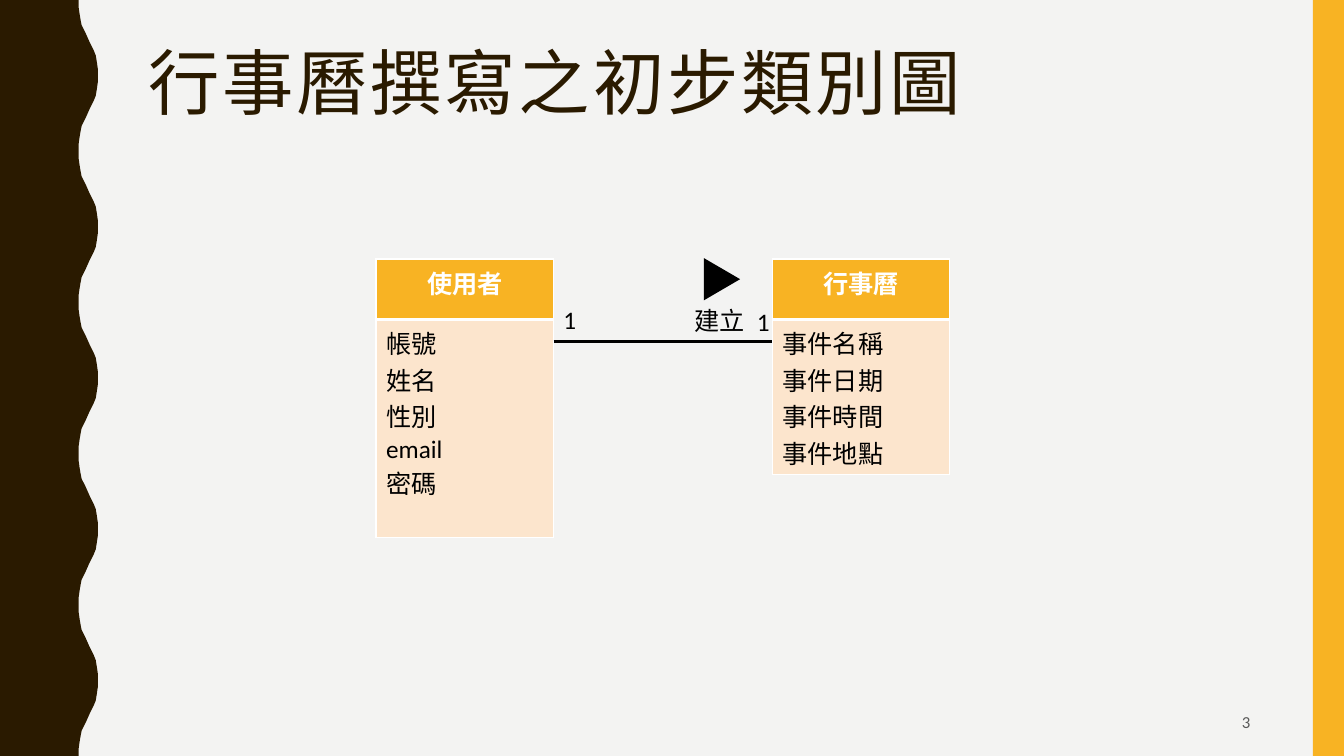
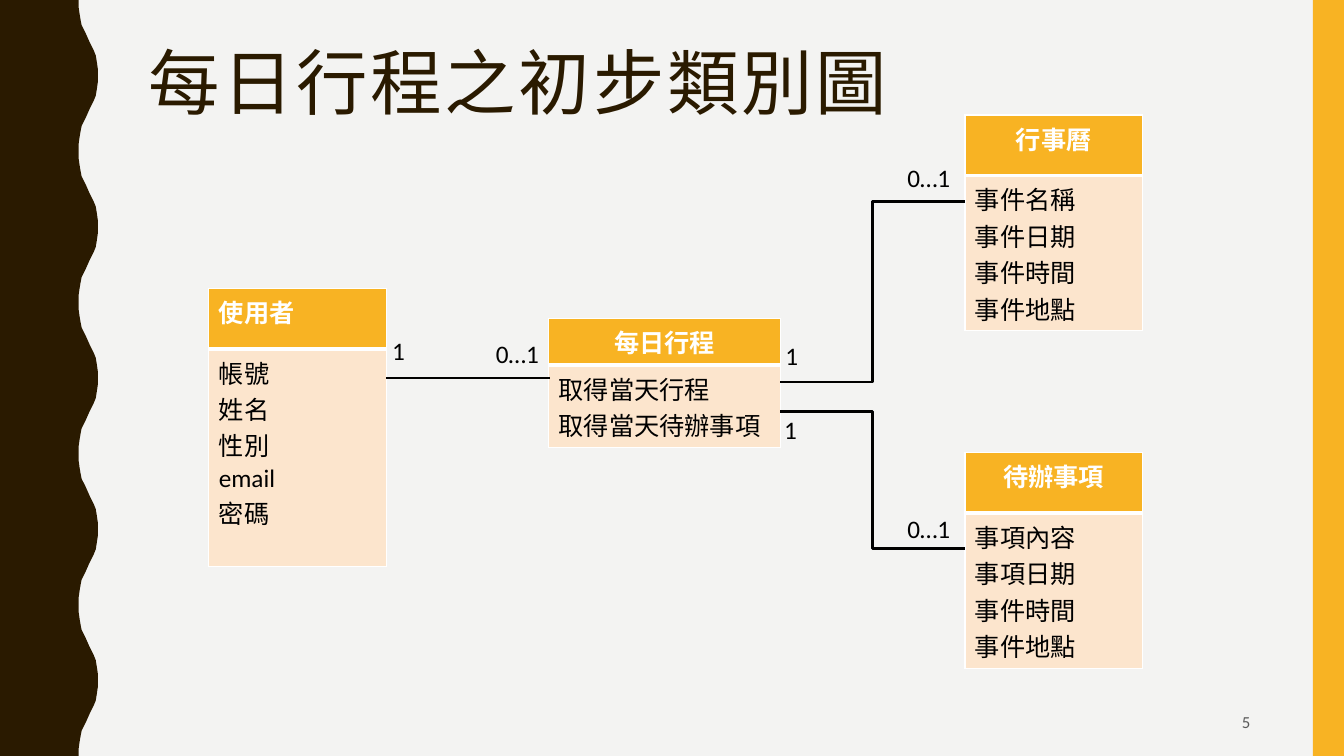
"""Build two slides of preliminary class diagrams for a calendar application."""

from lxml import etree
from pptx import Presentation
from pptx.dml.color import RGBColor
from pptx.enum.shapes import MSO_CONNECTOR, MSO_SHAPE
from pptx.enum.text import MSO_ANCHOR, MSO_AUTO_SIZE, PP_ALIGN
from pptx.oxml.ns import qn
from pptx.util import Inches, Pt

STRAIGHT, ELBOW = MSO_CONNECTOR.STRAIGHT, MSO_CONNECTOR.ELBOW
RECTANGLE, TRIANGLE = MSO_SHAPE.RECTANGLE, MSO_SHAPE.ISOSCELES_TRIANGLE
TOP, MIDDLE = MSO_ANCHOR.TOP, MSO_ANCHOR.MIDDLE
LEFT, CENTER, RIGHT = PP_ALIGN.LEFT, PP_ALIGN.CENTER, PP_ALIGN.RIGHT
NO_FIT, GROW = MSO_AUTO_SIZE.NONE, MSO_AUTO_SIZE.SHAPE_TO_FIT_TEXT

PAPER = RGBColor(0xF3, 0xF3, 0xF2)
BROWN = RGBColor(0x2A, 0x1A, 0x00)
AMBER = RGBColor(0xF8, 0xB3, 0x23)
PEACH = RGBColor(0xFC, 0xE5, 0xCD)
GREY = RGBColor(0x59, 0x59, 0x59)
WHITE = RGBColor(0xFF, 0xFF, 0xFF)
BLACK = RGBColor(0x00, 0x00, 0x00)

HEADING_FONT, BODY_FONT = "Roboto Condensed", "Calibri"
WAVE_PERIOD = 1.5
WAVE_RISE = [(0.78, 0), (0.78, 0.07), (0.79, 0.14), (0.8, 0.2), (0.81, 0.25),
             (0.83, 0.29), (0.85, 0.33), (0.89, 0.42), (0.91, 0.46), (0.93, 0.5),
             (0.95, 0.55), (0.96, 0.61), (0.97, 0.68), (0.97, 0.75)]

USER = ["帳號", "姓名", "性別", "email", "密碼"]
EVENT = ["事件名稱", "事件日期", "事件時間", "事件地點"]
TODO = ["事項內容", "事項日期", "事件時間", "事件地點"]
DAILY = ["取得當天行程", "取得當天待辦事項"]

DIAGRAMS = [
    {
        "title": "行事曆撰寫之初步類別圖",
        "number": "3",
        "classes": [
            ("行事曆", CENTER, EVENT, 7.66, 2.57, 1.76, 0.6, 1.54),
            ("使用者", CENTER, USER, 3.73, 2.57, 1.76, 0.6, 2.16),
        ],
        "links": [(STRAIGHT, 5.49, 3.39, 7.66, 3.39)],
        "labels": [("建立", 6.79, 2.98, 0.71), ("1", 5.49, 2.97, 0.33),
                   ("1", 7.41, 2.99, 0.33)],
        "arrows": [(6.95, 2.59, 0.42, 0.36)],
    },
    {
        "title": "每日行程之初步類別圖",
        "number": "5",
        "classes": [
            ("每日行程", CENTER, DAILY, 5.44, 3.16, 2.3, 0.46, 0.82),
            ("使用者", LEFT, USER, 2.07, 2.86, 1.76, 0.6, 2.16),
            ("行事曆", CENTER, EVENT, 9.57, 1.14, 1.76, 0.6, 1.54),
            ("待辦事項", CENTER, TODO, 9.57, 4.49, 1.76, 0.6, 1.54),
        ],
        "links": [(STRAIGHT, 3.83, 3.75, 5.45, 3.75),
                  (ELBOW, 7.74, 3.79, 9.57, 2),
                  (ELBOW, 7.74, 4.08, 9.57, 5.44)],
        "labels": [("1", 3.79, 3.28, 0.33), ("0…1", 4.82, 3.31, 0.71),
                   ("1", 7.69, 3.33, 0.33), ("1", 7.68, 4.06, 0.33),
                   ("0…1", 8.9, 1.56, 0.71), ("0…1", 8.9, 5.04, 0.71)],
        "arrows": [],
    },
]


def write(frame, text, color, size=18, font=BODY_FONT, bold=False, align=LEFT):
    """Fill a text frame and give every run the same look."""
    frame.text = text
    for paragraph in frame.paragraphs:
        paragraph.alignment = align
        for run in paragraph.runs:
            run.font.name = font
            run.font.size = Pt(size)
            run.font.bold = bold
            run.font.color.rgb = color


def edge_cell(cell, fill, bottom_width):
    """Fill a cell and draw its white borders."""
    properties = cell._tc.get_or_add_tcPr()
    for tag, width in (("a:lnL", 1), ("a:lnR", 1), ("a:lnT", 1), ("a:lnB", bottom_width)):
        line = etree.SubElement(properties, qn(tag), w=str(Pt(width)))
        solid = etree.SubElement(line, qn("a:solidFill"))
        etree.SubElement(solid, qn("a:srgbClr"), val=str(WHITE))
    cell.fill.solid()
    cell.fill.fore_color.rgb = fill


prs = Presentation()
prs.slide_width, prs.slide_height = Inches(13.33), Inches(7.5)
master = prs.slide_master
master.background.fill.solid()
master.background.fill.fore_color.rgb = PAPER
title_only = prs.slide_layouts[5]

for diagram in DIAGRAMS:
    slide = prs.slides.add_slide(title_only)
    shapes = slide.shapes

    if diagram is DIAGRAMS[0]:
        fall = [(x, WAVE_PERIOD - y) for x, y in reversed(WAVE_RISE)]
        wave = [(Inches(x), Inches(y + period * WAVE_PERIOD))
                for period in range(5) for x, y in WAVE_RISE + fall]
        outline = shapes.build_freeform(0, 0)
        outline.add_line_segments(wave + [(0, Inches(7.5))], close=True)
        wavy_band = outline.convert_to_shape()
        edge_band = shapes.add_shape(RECTANGLE, Inches(13.02), 0, Inches(0.31), Inches(7.5))
        for band, color in ((wavy_band, BROWN), (edge_band, AMBER)):
            band.shadow.inherit = False
            band.fill.solid()
            band.fill.fore_color.rgb = color
            band.line.fill.background()
            master.shapes.element.insert(2, band.element)

    title = shapes.title
    title.left, title.top = Inches(1.37), Inches(0.42)
    title.width, title.height = Inches(11.13), Inches(0.88)
    heading = title.text_frame
    write(heading, diagram["title"], BROWN, 51, HEADING_FONT)
    heading.auto_size = NO_FIT
    heading.vertical_anchor = TOP
    heading.paragraphs[0].line_spacing = 0.9
    heading.paragraphs[0].runs[0].font._element.set("spc", "200")

    page_number = shapes.add_textbox(Inches(9.42), Inches(6.97), Inches(3.08), Inches(0.38))
    page_number.text_frame.word_wrap = True
    page_number.text_frame.vertical_anchor = MIDDLE
    write(page_number.text_frame, diagram["number"], GREY, 12, align=RIGHT)

    for name, align, members, left, top, width, head, body in diagram["classes"]:
        class_box = shapes.add_table(2, 1, Inches(left), Inches(top),
                                     Inches(width), Inches(head + body)).table
        class_box.rows[0].height, class_box.rows[1].height = Inches(head), Inches(body)
        name_cell, member_cell = class_box.cell(0, 0), class_box.cell(1, 0)
        write(name_cell.text_frame, name, WHITE, bold=True, align=align)
        write(member_cell.text_frame, "\n".join(members), BLACK)
        edge_cell(name_cell, AMBER, 3)
        edge_cell(member_cell, PEACH, 1)

    for kind, *ends in diagram["links"]:
        link = shapes.add_connector(kind, *[Inches(end) for end in ends])
        link.line.color.rgb = BLACK
        link.line.width = Pt(2)
        etree.SubElement(link.element.spPr, qn("a:effectLst"))

    for text, left, top, width in diagram["labels"]:
        label = shapes.add_textbox(Inches(left), Inches(top), Inches(width), Inches(0.4))
        label.text_frame.word_wrap = False
        label.text_frame.auto_size = GROW
        write(label.text_frame, text, BLACK)

    for bounds in diagram["arrows"]:
        reading_arrow = shapes.add_shape(TRIANGLE, *[Inches(bound) for bound in bounds])
        reading_arrow.rotation = 90
        reading_arrow.shadow.inherit = False
        reading_arrow.fill.solid()
        reading_arrow.fill.fore_color.rgb = BLACK
        reading_arrow.line.fill.background()

prs.save("out.pptx")
